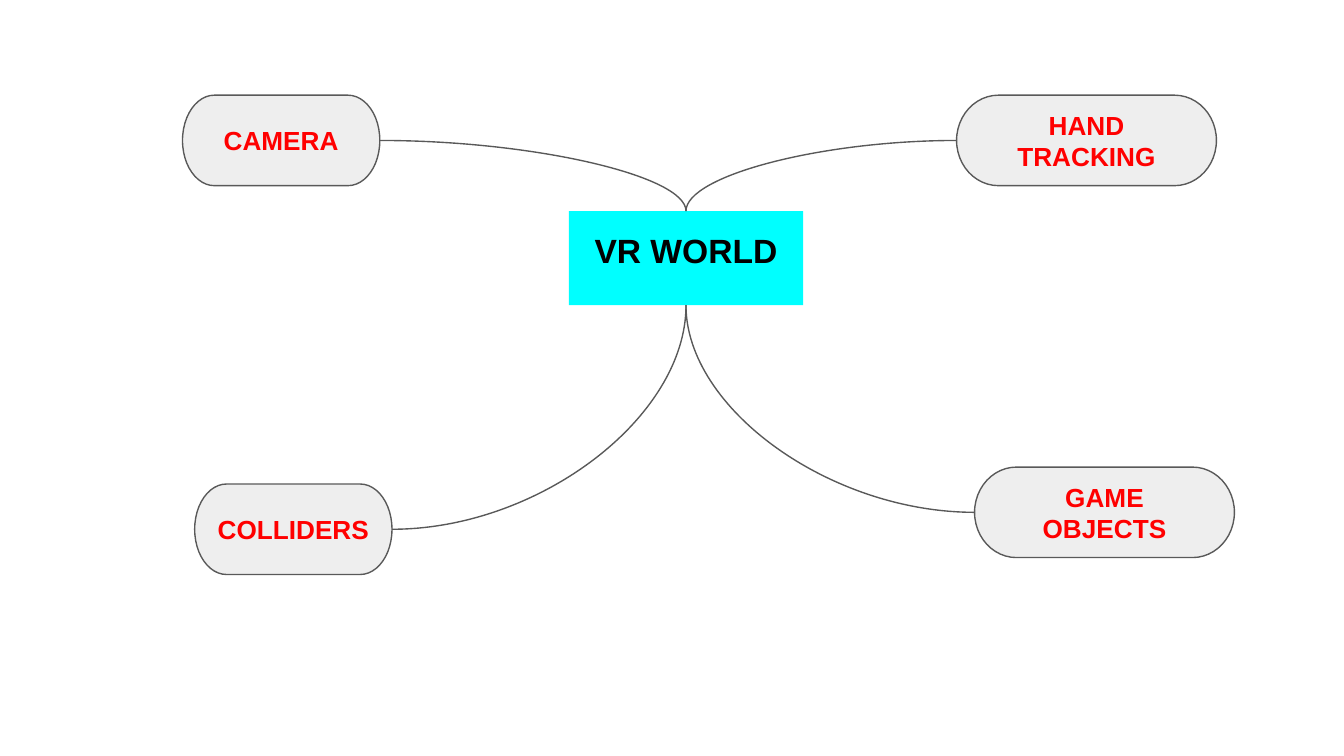
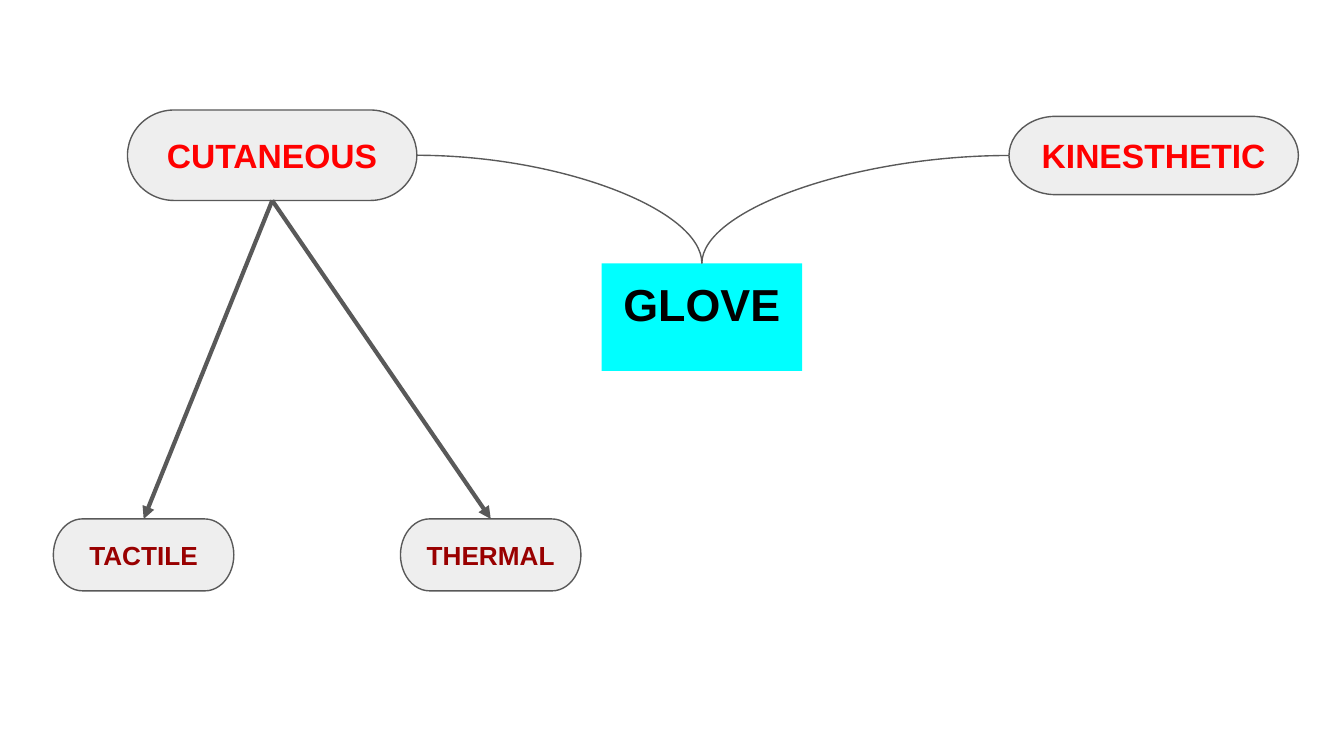
import dataclasses

import lxml.etree
import pptx
import pptx.dml.color
import pptx.enum.shapes
import pptx.enum.text
import pptx.oxml.ns
import pptx.shapes.autoshape
import pptx.shapes.connector
import pptx.slide
import pptx.util

Cm = pptx.util.Cm
Pt = pptx.util.Pt
RGB = pptx.dml.color.RGBColor
Kind = pptx.enum.shapes.MSO_SHAPE
Link = pptx.enum.shapes.MSO_CONNECTOR
Anchor = pptx.enum.text.MSO_ANCHOR
Shape = pptx.shapes.autoshape.Shape
Slide = pptx.slide.Slide
qn = pptx.oxml.ns.qn

TOP, LEFT, BOTTOM, RIGHT = range(4)


@dataclasses.dataclass(frozen=True)
class Theme:
    font: str = "Arial"
    hub: RGB = RGB(0x00, 0xFF, 0xFF)
    pill: RGB = RGB(0xEE, 0xEE, 0xEE)
    edge: RGB = RGB(0x59, 0x59, 0x59)
    black: RGB = RGB(0x00, 0x00, 0x00)
    red: RGB = RGB(0xFF, 0x00, 0x00)
    dark: RGB = RGB(0x99, 0x00, 0x00)
    small: Pt = Pt(14)
    mid: Pt = Pt(18)
    large: Pt = Pt(24)
    thin: Pt = Pt(0.75)
    thick: Pt = Pt(2.25)
    inset: Cm = Cm(0.25)


THEME = Theme()


@dataclasses.dataclass(frozen=True)
class Node:
    """A labelled box; lengths are in centimetres."""
    text: str
    left: float
    top: float
    width: float
    height: float
    size: Pt = THEME.small
    color: RGB = THEME.red


WORLD = Node("VR WORLD", 10.75, 3.99, 4.43, 1.78, THEME.mid, THEME.black)
CAMERA = Node("CAMERA", 3.45, 1.8, 3.73, 1.71)
COLLIDE = Node("COLLIDERS", 3.68, 9.15, 3.73, 1.71)
HAND = Node("HAND TRACKING", 18.08, 1.8, 4.91, 1.71)
GAME = Node("GAME OBJECTS", 18.42, 8.83, 4.91, 1.71)

GLOVE = Node("GLOVE", 11.37, 4.98, 3.79, 2.03, THEME.large, THEME.black)
SKIN = Node("CUTANEOUS", 2.41, 2.08, 5.47, 1.71, THEME.mid)
MOTION = Node("KINESTHETIC", 19.07, 2.2, 5.47, 1.48, THEME.mid)
SENSES = [Node(text, left, 9.81, 3.41, 1.36, color=THEME.dark)
          for text, left in (("TACTILE", 1.01), ("THERMAL", 7.57))]


def bounds(node: Node) -> tuple[Cm, Cm, Cm, Cm]:
    return Cm(node.left), Cm(node.top), Cm(node.width), Cm(node.height)


def label(shape: Shape, node: Node, anchor: Anchor) -> None:
    frame = shape.text_frame
    frame.word_wrap = True
    frame.auto_size = pptx.enum.text.MSO_AUTO_SIZE.NONE
    frame.vertical_anchor = anchor
    frame.margin_left = frame.margin_right = THEME.inset
    frame.margin_top = frame.margin_bottom = THEME.inset
    para = frame.paragraphs[0]
    para.alignment = pptx.enum.text.PP_ALIGN.CENTER
    run = para.add_run()
    run.text = node.text
    run.font.name = THEME.font
    run.font.size = node.size
    run.font.bold = True
    run.font.color.rgb = node.color


def paint(shape: Shape, color: RGB) -> None:
    shape.shadow.inherit = False
    shape.fill.solid()
    shape.fill.fore_color.rgb = color


def draw_pill(slide: Slide, node: Node) -> Shape:
    pill = slide.shapes.add_shape(Kind.FLOWCHART_TERMINATOR, *bounds(node))
    paint(pill, THEME.pill)
    pill.line.color.rgb = THEME.edge
    pill.line.width = THEME.thin
    label(pill, node, Anchor.MIDDLE)
    return pill


def draw_hub(hub: Shape, node: Node) -> None:
    paint(hub, THEME.hub)
    hub.line.fill.background()
    label(hub, node, Anchor.TOP)


def fill_body(slide: Slide, node: Node) -> Shape:
    """Turn the body placeholder into the hub."""
    body = slide.placeholders[1]
    body.left, body.top, body.width, body.height = bounds(node)
    para = body.text_frame.paragraphs[0]
    props = para._p.get_or_add_pPr()
    props.set("marL", "0")
    props.set("indent", "0")
    lxml.etree.SubElement(props, qn("a:buNone"))
    para.line_spacing = 1.15
    para.space_before = Pt(0)
    para.space_after = Pt(16)
    draw_hub(body, node)
    return body


def join(slide: Slide, kind: Link, start: Shape, out: int, end: Shape,
         into: int, width: Pt) -> pptx.shapes.connector.Connector:
    line = slide.shapes.add_connector(kind, 0, 0, 0, 0)
    line.begin_connect(start, out)
    line.end_connect(end, into)
    line.line.color.rgb = THEME.edge
    line.line.width = width
    lxml.etree.SubElement(line.element.spPr, qn("a:effectLst"))
    return line


def draw_curve(slide: Slide, pill: Shape, hub: Shape) -> None:
    """Bend from the near side of a pill to the top or bottom of the hub."""
    out = RIGHT if pill.left < hub.left else LEFT
    into = TOP if pill.top < hub.top else BOTTOM
    curve = join(slide, Link.CURVE, pill, out, hub, into, THEME.thin)
    curve.element.spPr.find(qn("a:prstGeom")).set("prst", "curvedConnector2")


def draw_arrow(slide: Slide, start: Shape, end: Shape) -> None:
    arrow = join(slide, Link.STRAIGHT, start, BOTTOM, end, TOP, THEME.thick)
    stroke = arrow.element.spPr.find(qn("a:ln"))
    lxml.etree.SubElement(stroke, qn("a:tailEnd"), type="triangle")


def build_world(slide: Slide) -> None:
    title = slide.shapes.title.element
    title.getparent().remove(title)
    hub = fill_body(slide, WORLD)
    pills = [draw_pill(slide, node) for node in (CAMERA, COLLIDE, HAND, GAME)]
    for pill in pills:
        draw_curve(slide, pill, hub)


def build_glove(slide: Slide) -> None:
    hub = slide.shapes.add_shape(Kind.RECTANGLE, *bounds(GLOVE))
    draw_hub(hub, GLOVE)
    motion = draw_pill(slide, MOTION)
    skin = draw_pill(slide, SKIN)
    senses = [draw_pill(slide, node) for node in SENSES]
    for pill in (skin, motion):
        draw_curve(slide, pill, hub)
    for sense in senses:
        draw_arrow(slide, skin, sense)


def main() -> None:
    deck = pptx.Presentation()
    deck.slide_width, deck.slide_height = Cm(25.4), Cm(14.29)
    build_world(deck.slides.add_slide(deck.slide_layouts[1]))
    build_glove(deck.slides.add_slide(deck.slide_layouts[6]))
    deck.save("out.pptx")


if __name__ == "__main__":
    main()
